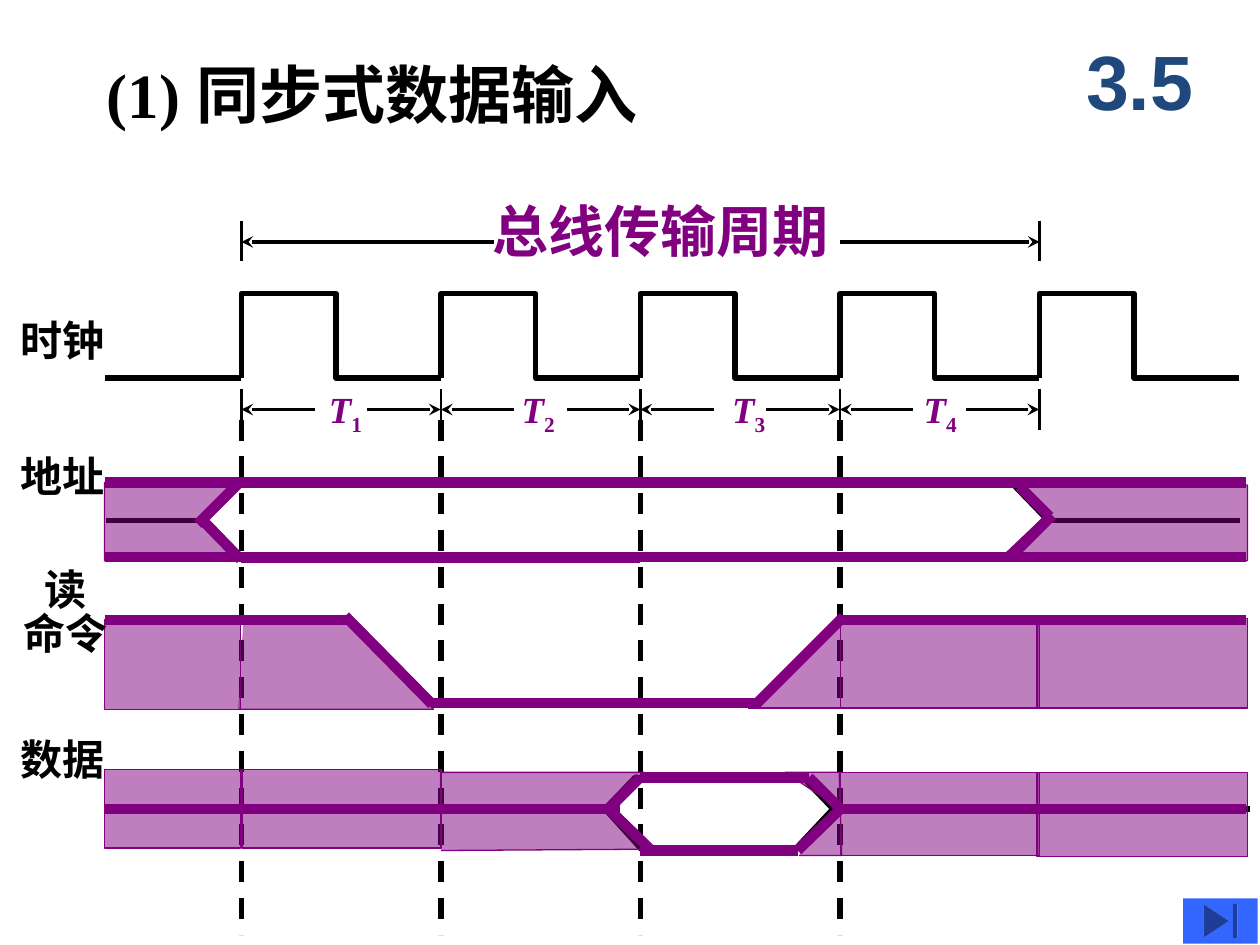
import pptx
import pptx.dml.color
import pptx.enum.dml
import pptx.enum.shapes
import pptx.enum.text
import pptx.oxml
import pptx.oxml.ns
import pptx.util

Inches = pptx.util.Inches
Shapes = pptx.enum.shapes.MSO_SHAPE
Align = pptx.enum.text.PP_ALIGN
Anchor = pptx.enum.text.MSO_ANCHOR
BLACK, PURPLE, NAVY, BLUE = "000000", "800080", "1F497D", "3366FF"
LEFT, RIGHT = 0.83, 9.89
PERIODS = [(23 + 19 * index) / 12 for index in range(5)]
MARGINS = (0.1, 0.05, 0.1, 0.05)


def color(text):
    return pptx.dml.color.RGBColor.from_string(text)


def add_element(parent, tag, **values):
    element = pptx.oxml.parse_xml(f"<a:{tag} {pptx.oxml.ns.nsdecls('a')}/>")
    for name, value in values.items():
        element.set(name, value)
    parent.append(element)


class Diagram:
    latin = "Times New Roman"
    asian = "Noto Sans CJK SC"

    def __init__(self, deck):
        self.page = deck.slides.add_slide(deck.slide_layouts[6])

    def line(self, start, end, ink=BLACK, width=3.0, dashed=False, arrow=None):
        points = [Inches(value) for value in (*start, *end)]
        line = self.page.shapes.add_connector(
            pptx.enum.shapes.MSO_CONNECTOR.STRAIGHT, *points)
        line.line.color.rgb = color(ink)
        line.line.width = pptx.util.Pt(width)
        if dashed:
            line.line.dash_style = pptx.enum.dml.MSO_LINE.DASH
        properties = line._element.spPr
        if arrow:
            add_element(properties.find(pptx.oxml.ns.qn("a:ln")), arrow, type="stealth")
        add_element(properties, "effectLst")
        return line

    def paint(self, shape, fill, ink, width, opacity=None):
        shape.shadow.inherit = False
        if fill:
            shape.fill.solid()
            shape.fill.fore_color.rgb = color(fill)
            if opacity:
                paint = shape._element.spPr.find(".//" + pptx.oxml.ns.qn("a:srgbClr"))
                add_element(paint, "alpha", val=str(opacity * 1000))
        else:
            shape.fill.background()
        if ink:
            shape.line.color.rgb = color(ink)
            shape.line.width = pptx.util.Pt(width)
        else:
            shape.line.fill.background()
        return shape

    def outline(self, points, closed=False, fill=None, ink=BLACK, width=3.0, opacity=None):
        points = [(Inches(x), Inches(y)) for x, y in points]
        builder = self.page.shapes.build_freeform(*points[0])
        builder.add_line_segments(points[1:], close=closed)
        self.paint(builder.convert_to_shape(), fill, ink, width, opacity)

    def shape(self, kind, place, fill, ink=None, width=0.75, opacity=None):
        shape = self.page.shapes.add_shape(kind, *map(Inches, place))
        return self.paint(shape, fill, ink, width, opacity)

    def text(self, place, paragraphs, size, ink=BLACK, latin=None, margins=MARGINS,
             wrap=True, anchor=Anchor.TOP, align=Align.LEFT, spacing=None):
        box = self.page.shapes.add_textbox(*map(Inches, place))
        frame = box.text_frame
        sides = ("margin_left", "margin_top", "margin_right", "margin_bottom")
        settings = dict(zip(sides, map(Inches, margins)), word_wrap=wrap, vertical_anchor=anchor)
        for name, value in settings.items():
            setattr(frame, name, value)
        for index, (indent, spans) in enumerate(paragraphs):
            para = frame.add_paragraph() if index else frame.paragraphs[0]
            para.alignment = align
            para.line_spacing = spacing
            if indent:
                para._p.get_or_add_pPr().set("marL", str(Inches(indent)))
            for words, italic, baseline in spans:
                span = para.add_run()
                span.text = words
                values = {"name": latin or self.latin, "size": pptx.util.Pt(size),
                          "bold": True, "italic": italic}
                for name, value in values.items():
                    setattr(span.font, name, value)
                span.font.color.rgb = color(ink)
                add_element(span._r.rPr, "ea", typeface=self.asian)
                if baseline:
                    span._r.rPr.set("baseline", str(baseline))

    def label(self, place, words, size=24, **style):
        self.text(place, [(0, [(words, False, 0)])], size, **style)


def draw_clock(diagram):
    first, last = PERIODS[0], PERIODS[-1]
    diagram.label((3.91, 1.63, 2.68, 0.53), "总线传输周期", 32, ink=PURPLE,
                  latin=diagram.asian, margins=(0, 0, 0, 0), wrap=False, spacing=0.87)
    diagram.line((first, 1.92), (3.92, 1.92), width=2.25, arrow="headEnd")
    diagram.line((6.67, 1.92), (last, 1.92), width=2.25, arrow="tailEnd")
    for x in (first, last):
        diagram.line((x, 1.75), (x, 2.07), width=1.25)
    diagram.line((first, 3), (LEFT, 3))
    for x in PERIODS:
        diagram.outline([(x, 3), (x, 2.33), (x + 0.75, 2.33), (x + 0.75, 3), (x + 1.58, 3)])
        diagram.line((x, 3.09), (x, 3.41), width=1.25)
    for number, (x, left) in enumerate(zip(PERIODS, (2.61, 4.14, 5.81, 7.33)), 1):
        diagram.line((x, 3.25), (x + 0.58, 3.25), width=2.25, arrow="headEnd")
        diagram.line((x + 1, 3.25), (x + 1.58, 3.25), width=2.25, arrow="tailEnd")
        diagram.text((left, 3.07, 0.28, 0.35), [(0, [("T", True, 0), (str(number), False, -25000)])],
                     21, ink=PURPLE, margins=(0, 0, 0, 0), wrap=False)


def draw_outlines(diagram):
    diagram.outline([(1.91, 3.83), (1.62, 4.13), (1.92, 4.43), (8.02, 4.43), (8.31, 4.13),
                     (8.02, 3.83)], closed=True, width=2.5)
    diagram.outline([(4.8, 6.42), (5.04, 6.17), (6.37, 6.17), (6.61, 6.42), (6.31, 6.74),
                     (5.09, 6.74)], closed=True)
    for start, end, y in ((0.84, 1.67, 4.13), (8.33, 9.84, 4.13), (6.61, 9.92, 6.42)):
        diagram.line((start, y), (end, y))
    for x in PERIODS[:-1]:
        diagram.line((x, 3.33), (x, 7.42), dashed=True)


def draw_shading(diagram):
    style = {"fill": PURPLE, "ink": PURPLE, "width": 0.75, "opacity": 50}
    for points in (
        [(1.62, 4.17), (1.84, 3.84), (0.83, 3.83), (0.83, 4.45), (1.9, 4.45)],
        [(8.06, 3.83), (9.9, 3.85), (9.9, 4.45), (7.92, 4.45), (8.31, 4.08)],
        [(1.89, 5.63), (3.44, 5.63), (2.76, 4.92), (1.93, 4.94)],
        [(5.94, 5.62), (6.67, 5.62), (6.67, 4.87)],
        [(3.49, 6.13), (5.11, 6.13), (4.83, 6.42), (5.11, 6.74), (3.5, 6.75)],
        [(6.67, 6.42), (6.23, 6.13), (6.66, 6.13), (6.68, 6.79), (6.34, 6.79)],
    ):
        diagram.outline(points, **style)
    for place in ((0.83, 4.92, 1.08, 0.71), (6.67, 4.92, 1.58, 0.7), (8.23, 4.91, 1.67, 0.71),
                  (6.67, 6.13, 1.58, 0.66), (8.23, 6.13, 1.67, 0.67)):
        diagram.shape(Shapes.RECTANGLE, place, **style)
    for place in ((0.83, 6.11, 1.08, 0.62), (1.92, 6.11, 1.58, 0.62)):
        block = diagram.shape(Shapes.RECTANGLE, place, **style)
        line = diagram.line((place[0], 6.42), (place[0] + place[2], 6.42), PURPLE, 6)
        line.begin_connect(block, 1)
        line.end_connect(block, 3)


def draw_signals(diagram):
    edges = [LEFT, *PERIODS, RIGHT]
    for start, end in zip(edges, edges[1:]):
        for y in (3.83, 4.42):
            diagram.line((start, y), (end, y), PURPLE, 6)
    for start, end in zip(PERIODS[:2], PERIODS[1:]):
        for y in (3.85, 4.45):
            diagram.line((start, y), (end, y), PURPLE, 3)
    for y, spans in {
        4.92: [(0.83, 1.92), (1.92, 2.75), (6.67, 8.25), (8.23, RIGHT)],
        5.58: [(3.42, 5.13), (5.08, 6)],
        6.17: [(5.08, 6), (6, 6.42)],
        6.42: [(3.5, 4.92), (6.67, 8.25), (8.23, RIGHT)],
        6.75: [(5.08, 6), (5.92, 6.33)],
    }.items():
        for start, end in spans:
            diagram.line((start, y), (end, y), PURPLE, 6)
    for start, end in (
        ((1.91, 4.44), (1.59, 4.11)), ((1.89, 3.84), (1.57, 4.16)),
        ((8.35, 4.09), (8.03, 4.41)), ((8.33, 4.1), (8.09, 3.86)),
        ((3.43, 5.59), (2.74, 4.89)), ((6.69, 4.9), (5.99, 5.6)),
        ((4.83, 6.42), (5.08, 6.17)), ((4.83, 6.42), (5.17, 6.75)),
        ((6.33, 6.75), (6.67, 6.42)), ((6.42, 6.17), (6.67, 6.42)),
    ):
        diagram.line(start, end, PURPLE, 6)


def main():
    deck = pptx.Presentation()
    deck.slide_width, deck.slide_height = Inches(10), Inches(7.5)
    diagram = Diagram(deck)
    diagram.label((0.75, 0.47, 5.17, 0.7), "(1) 同步式数据输入", 36, spacing=0.87)
    diagram.label((8.42, 0.17, 1.25, 0.92), "3.5", 44, ink=NAVY, latin="Arial",
                  anchor=Anchor.MIDDLE, align=Align.CENTER)
    draw_clock(diagram)
    draw_outlines(diagram)
    draw_shading(diagram)
    draw_signals(diagram)
    side = (0, 0.05, 0.1, 0.05)
    for top, words in ((2.5, "时钟"), (3.58, "地址"), (5.83, "数据")):
        diagram.label((0.16, top, 0.92, 0.5), words, margins=side, spacing=0.87)
    diagram.text((0.19, 4.48, 1, 0.9), [(0.16, [("读", False, 0)]), (0, [("命令", False, 0)])],
                 24, margins=side, spacing=0.87)
    diagram.shape(Shapes.ACTION_BUTTON_END, (9.39, 7.13, 0.59, 0.36), BLUE)
    deck.save("out.pptx")


if __name__ == "__main__":
    main()
